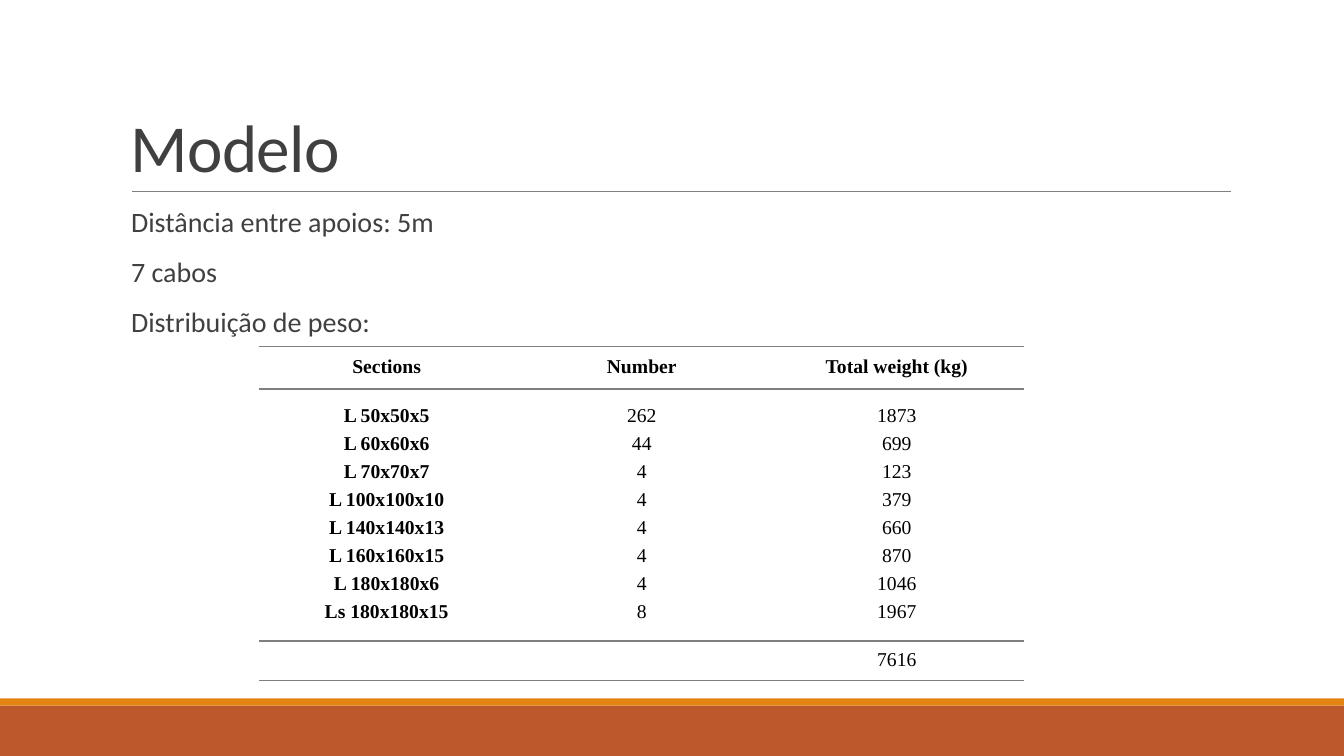
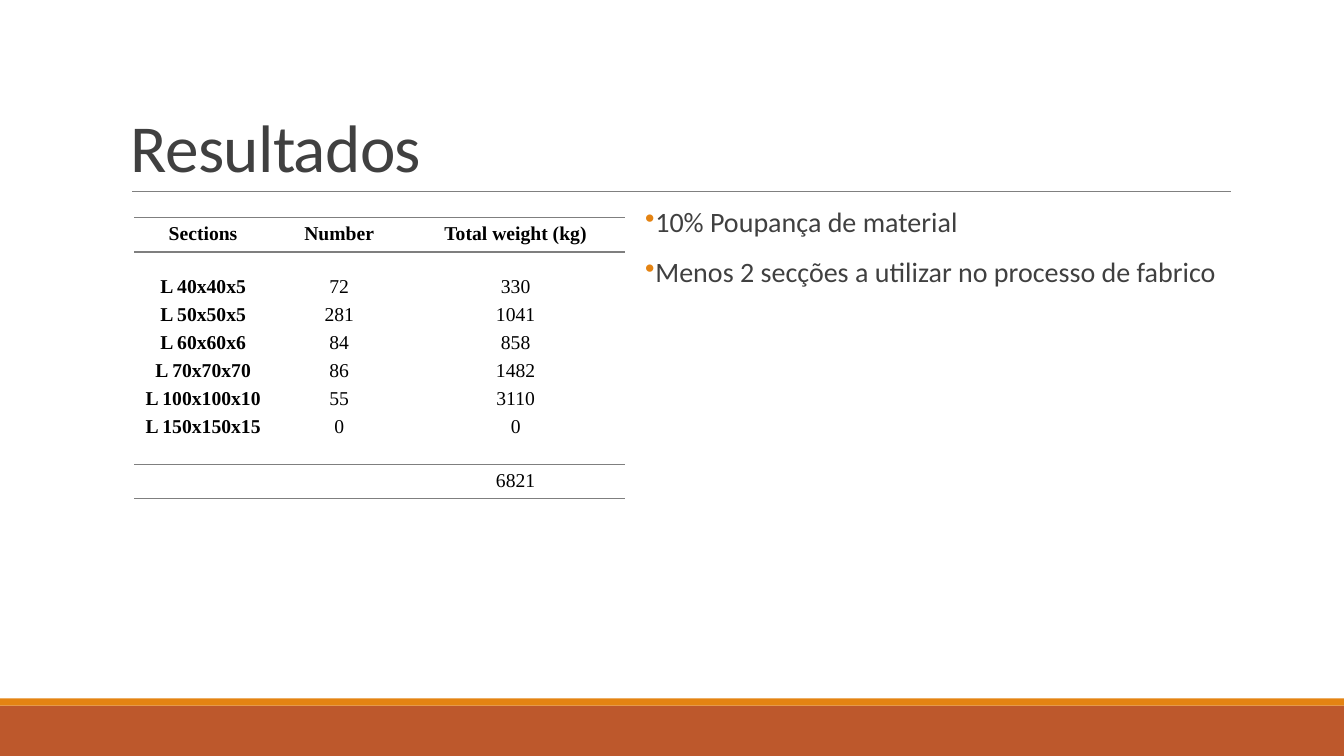
import pptx
import pptx.dml.color
import pptx.enum.shapes
import pptx.enum.text
import pptx.oxml
import pptx.oxml.ns
import pptx.util

Inches = pptx.util.Inches
Pt = pptx.util.Pt
ALIGN = pptx.enum.text.PP_ALIGN
ANCHOR = pptx.enum.text.MSO_ANCHOR

NAMESPACE = pptx.oxml.ns.nsdecls("a")


def color(value):
    return pptx.dml.color.RGBColor.from_string(value)


def element(xml):
    return pptx.oxml.parse_xml(xml)


def write(frame, lines, font="Calibri", size=20, text_color="404040", bold=False,
          align=ALIGN.LEFT, line_spacing=0.9, before=0, after=0, tracking=None,
          margin=0, bullet=None, bullet_color="E48312"):
    for index, line in enumerate(lines):
        paragraph = frame.paragraphs[0] if index == 0 else frame.add_paragraph()
        paragraph.alignment = align
        paragraph.line_spacing = line_spacing
        paragraph.space_before = Pt(before)
        paragraph.space_after = Pt(after)
        properties = paragraph._p.get_or_add_pPr()
        properties.set("marL", str(Inches(margin)))
        properties.set("indent", str(-Inches(margin) if bullet else 0))
        if bullet:
            properties.append(element(
                f'<a:buClr {NAMESPACE}><a:srgbClr val="{bullet_color}"/></a:buClr>'))
            properties.append(element(f'<a:buChar {NAMESPACE} char="{bullet}"/>'))
        run = paragraph.add_run()
        run.text = line
        run.font.name = font
        run.font.size = Pt(size)
        run.font.bold = bold
        run.font.color.rgb = color(text_color)
        if tracking:
            run._r.get_or_add_rPr().set("spc", str(round(tracking * 100)))


class Deck:
    accent = "E48312"
    footer = "BD582C"
    title_rule = "808080"
    table_rule = "7F7F7F"
    table_font = "Times New Roman"
    width = 13.33
    left = 1.2

    def __init__(self):
        self.presentation = pptx.Presentation()
        self.presentation.slide_width = Inches(self.width)
        self.presentation.slide_height = Inches(7.5)
        self.slide = None

    def add_slide(self, title):
        self.slide = self.presentation.slides.add_slide(self.presentation.slide_layouts[6])
        self.band(7, 0.5, self.footer)
        self.band(6.93, 0.07, self.accent)
        self.rule(1.31, 12.21, 1.9)
        self.text(self.left, 0.31, 11, 1.59, [title], inset=0.1, anchor=ANCHOR.BOTTOM,
                  size=48, line_spacing=0.85, tracking=-0.5)

    def band(self, top, height, fill):
        shape = self.slide.shapes.add_shape(
            pptx.enum.shapes.MSO_SHAPE.RECTANGLE,
            0, Inches(top), Inches(self.width), Inches(height))
        shape.shadow.inherit = False
        shape.fill.solid()
        shape.fill.fore_color.rgb = color(fill)
        shape.line.fill.background()

    def rule(self, start, end, top):
        connector = self.slide.shapes.add_connector(
            pptx.enum.shapes.MSO_CONNECTOR.STRAIGHT,
            Inches(start), Inches(top), Inches(end), Inches(top))
        connector.line.color.rgb = color(self.title_rule)
        connector.line.width = Pt(0.5)
        connector._element.spPr.append(element(f"<a:effectLst {NAMESPACE}/>"))

    def text(self, left, top, width, height, lines, inset=0, anchor=ANCHOR.TOP, **style):
        shape = self.slide.shapes.add_textbox(
            Inches(left), Inches(top), Inches(width), Inches(height))
        frame = shape.text_frame
        frame.word_wrap = True
        frame.vertical_anchor = anchor
        frame.margin_left = frame.margin_right = Inches(inset)
        frame.margin_top = frame.margin_bottom = Inches(0.05)
        write(frame, lines, **style)

    def body(self, left, width, lines, bullet=None):
        self.text(left, 2.02, width, 4.4, lines, before=12, after=2, margin=0.1,
                  bullet=bullet, bullet_color=self.accent)

    def cell_borders(self, cell):
        properties = cell._tc.get_or_add_tcPr()
        rule = f'<a:solidFill><a:srgbClr val="{self.table_rule}"/></a:solidFill>'
        borders = (("lnL", "<a:noFill/>"), ("lnR", "<a:noFill/>"), ("lnT", rule), ("lnB", rule))
        for position, (side, fill) in enumerate(borders):
            properties.insert(position, element(
                f'<a:{side} {NAMESPACE} w="{Pt(1)}">{fill}</a:{side}>'))

    def weight_table(self, left, top, widths, heights, sections, total):
        names, numbers, weights = zip(*sections)
        rows = [[["Sections"], ["Number"], ["Total weight (kg)"]],
                [names, numbers, weights],
                [[], [], [total]]]
        table = self.slide.shapes.add_table(
            len(rows), len(widths), Inches(left), Inches(top),
            Inches(sum(widths)), Inches(sum(heights))).table
        table.first_row = False
        table.horz_banding = False
        for column, width in zip(table.columns, widths):
            column.width = Inches(width)
        for row, height in zip(table.rows, heights):
            row.height = Inches(height)
        for row_index, row in enumerate(rows):
            for column_index, lines in enumerate(row):
                cell = table.cell(row_index, column_index)
                cell.fill.background()
                self.cell_borders(cell)
                cell.vertical_anchor = ANCHOR.MIDDLE
                cell.margin_left = cell.margin_right = Inches(0.07)
                cell.margin_top = cell.margin_bottom = 0
                write(cell.text_frame, [str(line) for line in lines],
                      font=self.table_font, size=14, text_color="000000",
                      bold=row_index == 0 or column_index == 0,
                      align=ALIGN.CENTER, line_spacing=Pt(14), after=6)


def main():
    deck = Deck()

    deck.add_slide("Modelo")
    deck.body(deck.left, 11, ["Distância entre apoios: 5m", "7 cabos", "Distribuição de peso:"])
    deck.weight_table(2.57, 3.44, [2.53] * 3, [0.42, 2.5, 0.39], [
        ("L 50x50x5", 262, 1873),
        ("L 60x60x6", 44, 699),
        ("L 70x70x7", 4, 123),
        ("L 100x100x10", 4, 379),
        ("L 140x140x13", 4, 660),
        ("L 160x160x15", 4, 870),
        ("L 180x180x6", 4, 1046),
        ("Ls 180x180x15", 8, 1967),
    ], 7616)

    deck.add_slide("Resultados")
    deck.weight_table(1.33, 2.16, [1.37, 1.33, 2.17], [0.34, 2.11, 0.34], [
        ("L 40x40x5", 72, 330),
        ("L 50x50x5", 281, 1041),
        ("L 60x60x6", 84, 858),
        ("L 70x70x70", 86, 1482),
        ("L 100x100x10", 55, 3110),
        ("L 150x150x15", 0, 0),
    ], 6821)
    deck.body(6.4, 5.8, ["10% Poupança de material",
                         "Menos 2 secções a utilizar no processo de fabrico"], bullet="•")

    deck.presentation.save("out.pptx")


if __name__ == "__main__":
    main()
